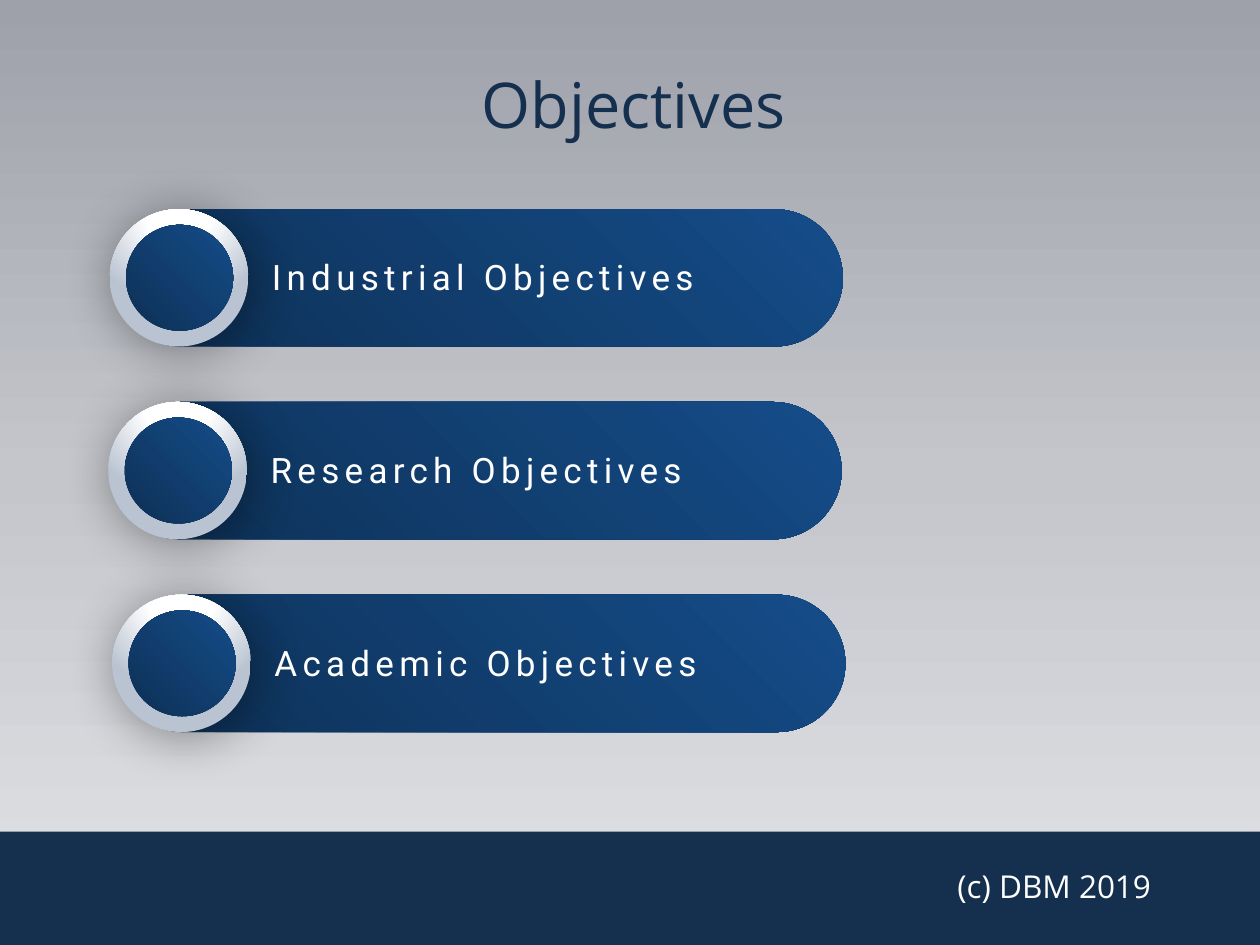
"""Build the Objectives slide: three labelled bars above a footer band."""
from lxml import etree
from pptx import Presentation
from pptx.dml.color import RGBColor
from pptx.enum.shapes import MSO_SHAPE
from pptx.enum.text import MSO_ANCHOR, MSO_AUTO_SIZE, PP_ALIGN
from pptx.oxml import parse_xml
from pptx.oxml.ns import nsdecls, qn
from pptx.util import Inches, Pt

ROUNDED, OVAL, RECT = MSO_SHAPE.ROUNDED_RECTANGLE, MSO_SHAPE.OVAL, MSO_SHAPE.RECTANGLE
TOP, MIDDLE = MSO_ANCHOR.TOP, MSO_ANCHOR.MIDDLE
LEFT, CENTER = PP_ALIGN.LEFT, PP_ALIGN.CENTER
GROW, FIXED = MSO_AUTO_SIZE.SHAPE_TO_FIT_TEXT, MSO_AUTO_SIZE.NONE

NAVY, WHITE = "15304E", "FFFFFF"
BLUE_STOPS = [(0, "0D3055"), (100, "154C89")]
RING_STOPS = [(0, WHITE), (35, WHITE), (100, "B9C3D1")]
SKY_STOPS = [(0, "9EA1AA"), (50, "C4C6CB"), (100, "E2E3E6")]
RISING = '<a:lin ang="18900000" scaled="0"/>'
DOWNWARD = '<a:lin ang="5400000" scaled="0"/>'
FROM_ABOVE = '<a:path path="circle"><a:fillToRect l="50000" t="-80000" r="50000" b="180000"/></a:path>'


def paint(fill, element, stops, direction):
    fill.background()
    blank = next(element.iter(qn("a:noFill")))
    marks = "".join(f'<a:gs pos="{at * 1000}"><a:srgbClr val="{colour}"/></a:gs>' for at, colour in stops)
    blank.getparent().replace(blank, parse_xml(
        f'<a:gradFill {nsdecls("a")} rotWithShape="1"><a:gsLst>{marks}</a:gsLst>{direction}</a:gradFill>'))


def write(shapes, text, box, size, font, colour, align=LEFT, anchor=TOP, side=0.1,
          line_spacing=None, tracking=0, fit=FIXED):
    label = shapes.add_textbox(*map(Inches, box))
    frame = label.text_frame
    frame.word_wrap = True
    frame.auto_size = fit
    frame.vertical_anchor = anchor
    frame.margin_left = frame.margin_right = Inches(side)
    line = frame.paragraphs[0]
    line.alignment = align
    line.line_spacing = line_spacing
    run = line.add_run()
    run.text = text
    run.font.size = Pt(size)
    run.font.name = font
    run.font.color.rgb = RGBColor.from_string(colour)
    if tracking:
        run.font._element.set("spc", str(tracking * 100))


deck = Presentation()
deck.slide_width, deck.slide_height = Inches(10), Inches(7.5)
slide = deck.slides.add_slide(deck.slide_layouts[6])
paint(slide.background.fill, slide._element, SKY_STOPS, DOWNWARD)

write(slide.shapes, "Objectives", (0.79, 0.45, 8.48, 0.82), 36, "Open Sans", NAVY,
      align=CENTER, anchor=MIDDLE, side=0, line_spacing=0.9)

FIRST_ROW, ROW_PITCH, BAR_HEIGHT = 1.66, 1.53, 1.09
objectives = [("Industrial Objectives", 0.87), ("Research Objectives", 0.86), ("Academic Objectives", 0.89)]
for row, (objective, left) in enumerate(objectives):
    top = FIRST_ROW + row * ROW_PITCH
    group = slide.shapes.add_group_shape().shapes
    parts = [
        (ROUNDED, (left + 0.02, top, 5.8, BAR_HEIGHT), BLUE_STOPS, RISING),
        (OVAL, (left, top, 1.1, BAR_HEIGHT), RING_STOPS, FROM_ABOVE),
        (OVAL, (left + 0.13, top + 0.125, 0.85, 0.84), BLUE_STOPS, RISING),
    ]
    for kind, box, stops, direction in parts:
        part = group.add_shape(kind, *map(Inches, box))
        paint(part.fill, part._element, stops, direction)
        part.line.fill.background()
        part.shadow.inherit = False
        if kind == ROUNDED:
            part.adjustments[0] = 0.5
        if stops is RING_STOPS:
            effects = next(part._element.iter(qn("a:effectLst")))
            shadow = etree.SubElement(effects, qn("a:outerShdw"), blurRad=str(Pt(30)), dist=str(Pt(3)),
                                      dir="2700000", algn="tl", rotWithShape="0")
            black = etree.SubElement(shadow, qn("a:srgbClr"), val="000000")
            etree.SubElement(black, qn("a:alpha"), val="40000")
    write(group, objective, (left + 1.19, top + 0.32, 3.93, 0.44), 20, "Roboto", WHITE,
          tracking=3, fit=GROW)

footer = slide.shapes.add_shape(RECT, 0, Inches(6.6), deck.slide_width, Inches(0.93))
footer.fill.solid()
footer.fill.fore_color.rgb = RGBColor.from_string(NAVY)
footer.line.fill.background()
footer.shadow.inherit = False
write(slide.shapes, "(c) DBM 2019", (7.5, 6.83, 2.31, 0.67), 18, "Open Sans", WHITE)

deck.save("out.pptx")
